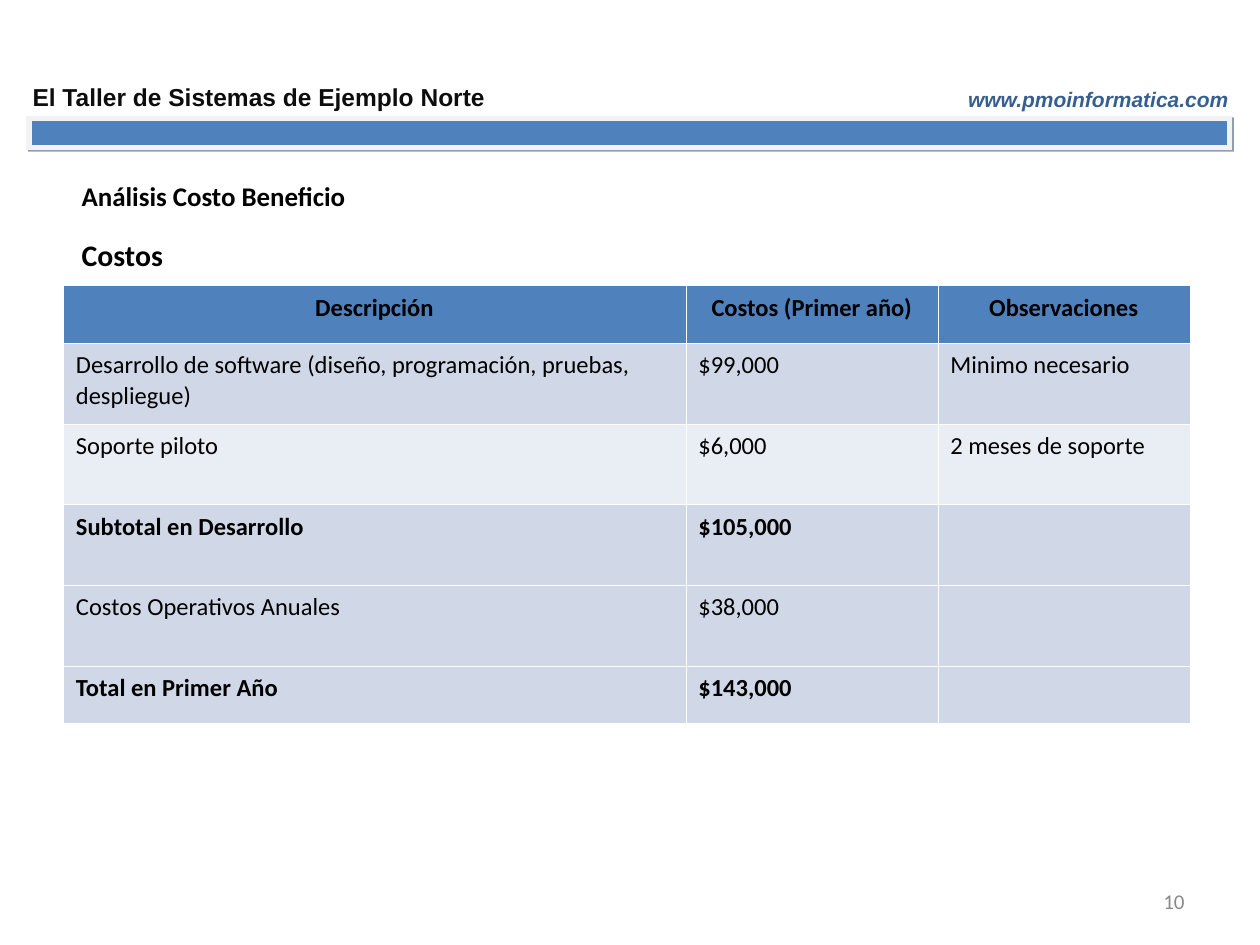
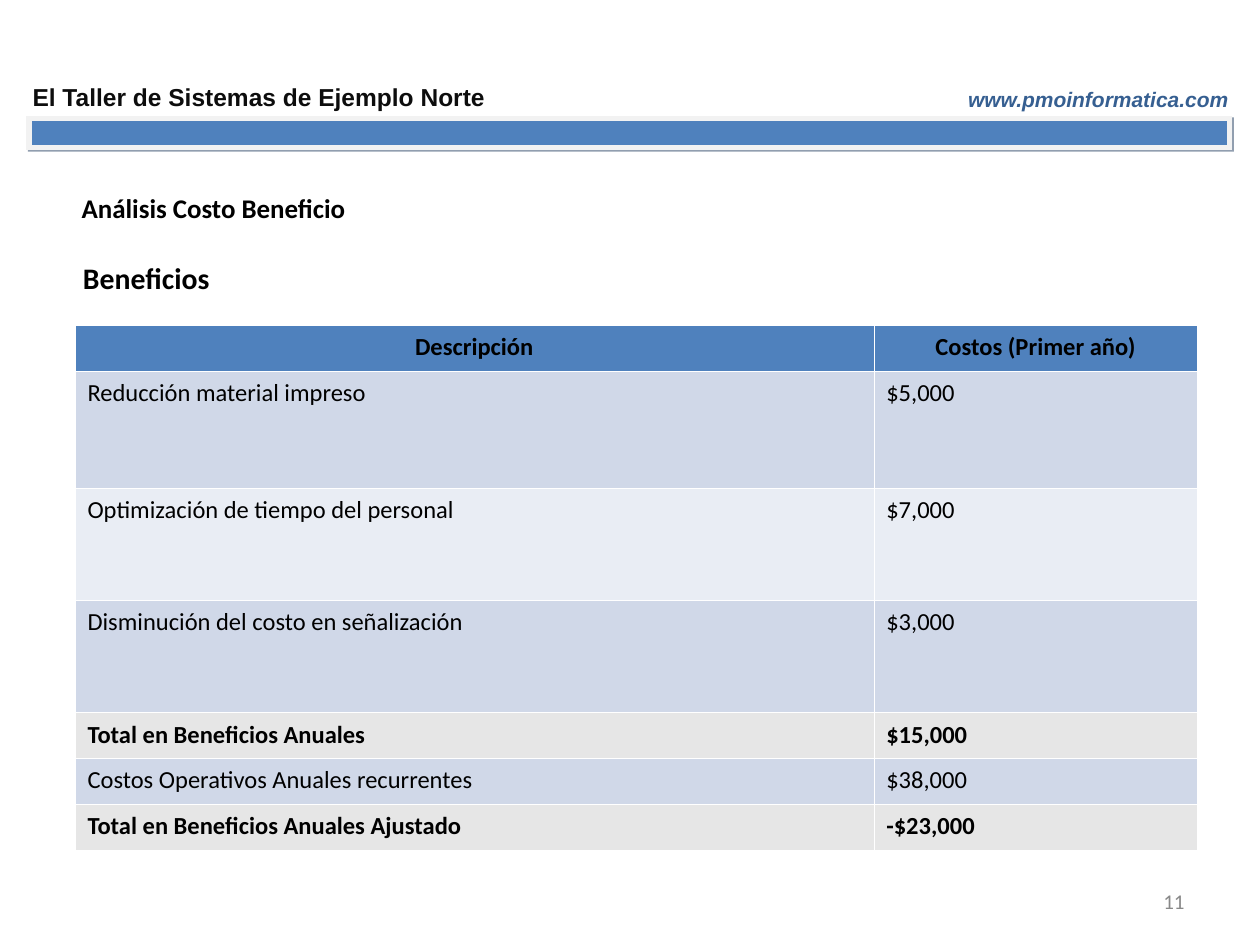
import pptx
import pptx.util
import pptx.dml.color
import pptx.enum.shapes
import pptx.enum.text
import pptx.oxml
import pptx.oxml.ns

Pt = pptx.util.Pt
RGB = pptx.dml.color.RGBColor
ALIGN = pptx.enum.text.PP_ALIGN
MID = pptx.enum.text.MSO_ANCHOR.MIDDLE

BLUE = RGB(0x4F, 0x81, 0xBD)
NAVY = RGB(0x36, 0x5F, 0x91)
FRAME = RGB(0xF2, 0xF2, 0xF2)
INK = RGB(0x0D, 0x0D, 0x0D)
BLACK = RGB(0, 0, 0)
GREY = RGB(0x89, 0x89, 0x89)
DARK = RGB(0xD0, 0xD8, 0xE8)
LIGHT = RGB(0xE9, 0xED, 0xF4)
TOTAL = RGB(0xE6, 0xE6, 0xE6)

HEAD = (11.52, 43.2, 697.68, 41.04)
FOOT = (516.24, 500.4, 167.76, 28.8)
NS = pptx.oxml.ns.nsdecls("a")
SHADOW = (f'<a:outerShdw {NS} blurRad="0" dist="17780" dir="2700000" algn="ctr" '
          'rotWithShape="0"><a:srgbClr val="243F60"><a:alpha val="50000"/>'
          '</a:srgbClr></a:outerShdw>')


def style(para, size, color, bold=False, align=ALIGN.LEFT, lead=1.0, face="Calibri"):
    para.alignment = align
    para.line_spacing = lead
    font = para.font
    font.name, font.size, font.bold = face, Pt(size), bold
    font.color.rgb = color


def label(slide, box, text, size, color, **look):
    """Add a one-line text box and return its paragraph."""
    frame = slide.shapes.add_textbox(*map(Pt, box)).text_frame
    frame.word_wrap = True
    frame.vertical_anchor = MID
    para = frame.paragraphs[0]
    para.text = text
    style(para, size, color, **look)
    return para


def header(slide, box):
    left, top, width, height = box
    band = slide.shapes.add_shape(
        pptx.enum.shapes.MSO_SHAPE.RECTANGLE, Pt(left + 5.04), Pt(top + 24.48),
        Pt(width - 11.52), Pt(height - 24.48))
    band.fill.solid()
    band.fill.fore_color.rgb = BLUE
    band.line.color.rgb = FRAME
    band.line.width = Pt(3)
    band.shadow.inherit = False
    props = band._element.spPr
    props.find(pptx.oxml.ns.qn("a:ln")).append(
        pptx.oxml.parse_xml(f'<a:miter {NS} lim="800000"/>'))
    props.find(pptx.oxml.ns.qn("a:effectLst")).append(pptx.oxml.parse_xml(SHADOW))

    label(slide, (left, top, 300, 24.48), "El Taller de Sistemas de Ejemplo Norte",
          14, INK, bold=True, face="Arial")
    site = label(slide, (left + width - 191.52, top + 2.88, 191.52, 21.6),
                 "www.pmoinformatica.com", 12, NAVY, bold=True,
                 align=ALIGN.RIGHT, face="Arial")
    site.font.italic = True


def edge(cell):
    """Draw hairline white borders around a cell."""
    for spot, side in enumerate("LRTB"):
        line = pptx.oxml.parse_xml(
            f'<a:ln{side} {NS} w="762"><a:solidFill><a:srgbClr val="FFFFFF"/>'
            f'</a:solidFill></a:ln{side}>')
        cell._tc.get_or_add_tcPr().insert(spot, line)


def grid(slide, spot, cols, rows):
    """Add a table; each row is (height, fill, bold, texts)."""
    high = sum(row[0] for row in rows)
    table = slide.shapes.add_table(
        len(rows), len(cols), *map(Pt, (*spot, sum(cols), high))).table
    table.first_row = table.horz_banding = False
    for col, wide in zip(table.columns, cols):
        col.width = Pt(wide)
    for line, (tall, fill, bold, texts) in zip(table.rows, rows):
        line.height = Pt(tall)
        align = ALIGN.CENTER if fill == BLUE else ALIGN.LEFT
        for cell, text in zip(line.cells, texts):
            cell.fill.solid()
            cell.fill.fore_color.rgb = fill
            edge(cell)
            para = cell.text_frame.paragraphs[0]
            para.text = text
            style(para, 14, BLACK, bold=bold, align=align, lead=1.04)


def page(deck, number, title, topic, spot, cols, rows):
    """Add a slide; title and topic are (left, top, text)."""
    slide = deck.slides.add_slide(deck.slide_layouts[6])
    header(slide, HEAD)
    left, top, text = title
    label(slide, (left, top, 650.16, 28.08), text, 15.4, BLACK, bold=True, lead=0.8)
    grid(slide, spot, cols, rows)
    left, top, text = topic
    label(slide, (left, top, 612, 28.08), text, 17, BLACK, bold=True, lead=0.9)
    label(slide, FOOT, str(number), 12, GREY, align=ALIGN.RIGHT)


COSTS = [
    (33.12, BLUE, True, ("Descripción", "Costos (Primer año)", "Observaciones")),
    (46.08, DARK, False,
     ("Desarrollo de software (diseño, programación, pruebas, despliegue)",
      "$99,000", "Minimo necesario")),
    (46.08, LIGHT, False, ("Soporte piloto", "$6,000", "2 meses de soporte")),
    (46.08, DARK, True, ("Subtotal en Desarrollo", "$105,000", "")),
    (46.08, DARK, False, ("Costos Operativos Anuales", "$38,000", "")),
    (33.12, DARK, True, ("Total en Primer Año", "$143,000", "")),
]
GAINS = [
    (26.2, BLUE, True, ("Descripción", "Costos (Primer año)")),
    (66.96, DARK, False, ("Reducción material impreso", "$5,000")),
    (64.08, LIGHT, False, ("Optimización de tiempo del personal", "$7,000")),
    (64.08, DARK, False, ("Disminución del costo en señalización", "$3,000")),
    (26.2, TOTAL, True, ("Total en Beneficios Anuales", "$15,000")),
    (26.2, DARK, False, ("Costos Operativos Anuales recurrentes", "$38,000")),
    (26.2, TOTAL, True, ("Total en Beneficios Anuales Ajustado", "-$23,000")),
]


def main():
    deck = pptx.Presentation()
    deck.slide_width, deck.slide_height = Pt(720), Pt(540)
    title = "Análisis Costo Beneficio"
    page(deck, 10, (39.6, 99.36, title), (39.6, 132.48, "Costos"),
         (36.2, 163), (355.68, 144, 144), COSTS)
    page(deck, 11, (39.6, 106.56, title), (40.32, 146.16, "Beneficios"),
         (42.8, 185.76), (456.48, 185.04), GAINS)
    deck.save("out.pptx")


if __name__ == "__main__":
    main()
